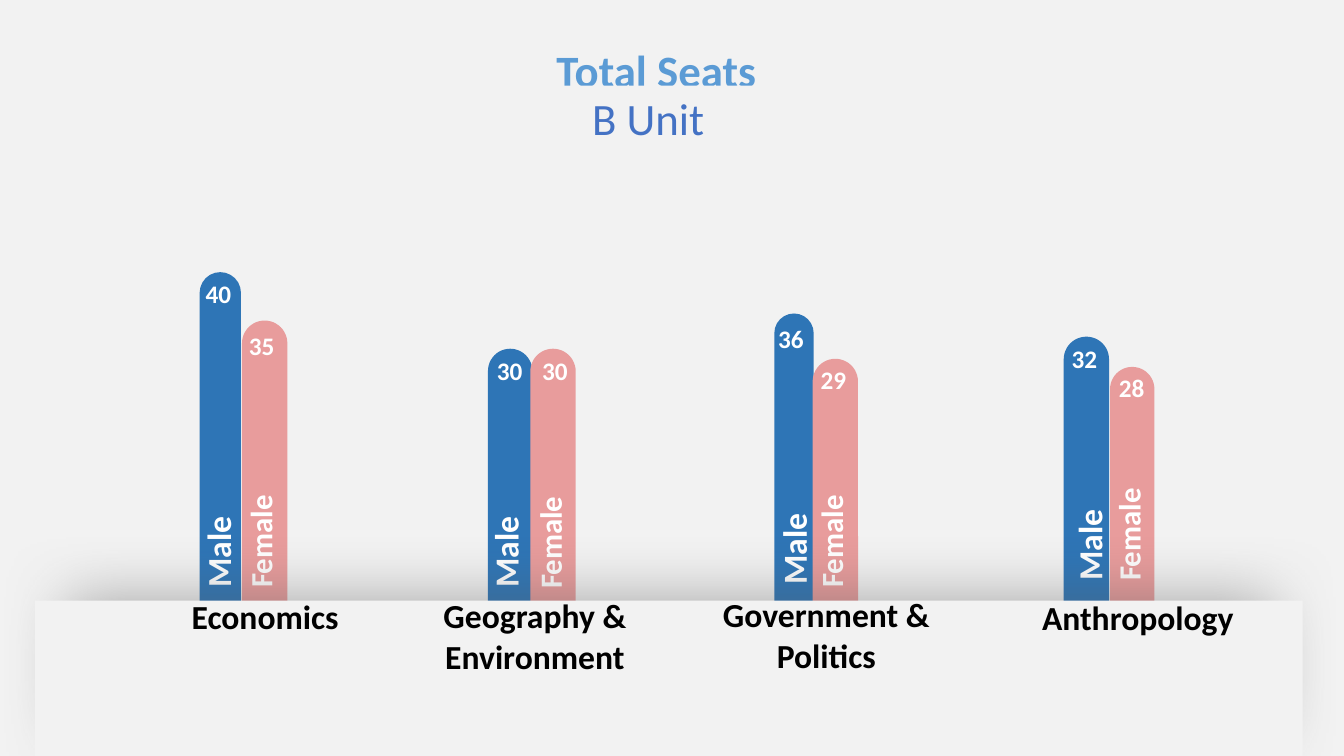
from dataclasses import dataclass

from lxml import etree
from pptx import Presentation
from pptx.dml.color import RGBColor
from pptx.enum.shapes import MSO_SHAPE as SHAPE
from pptx.enum.text import MSO_ANCHOR as ANCHOR, PP_ALIGN as ALIGN
from pptx.oxml import parse_xml
from pptx.oxml.ns import nsdecls
from pptx.util import Inches, Pt


@dataclass
class Theme:
    """Colours, font and type sizes of the slide."""
    font: str = "Calibri"
    ground: str = "F2F2F2"
    male: str = "2E75B6"
    female: str = "E89C9C"
    title: str = "5B9BD5"
    unit: str = "4472C4"
    white: str = "FFFFFF"
    black: str = "000000"
    title_size: int = 32
    label_size: int = 24
    female_size: int = 22
    value_size: int = 18


theme = Theme()
BASE = 5.96         # top edge of the panel the bars stand behind
BAR_END = 6.2       # rounded lower ends are hidden by the panel
LABEL_W, LABEL_H = 1.3, 0.5

# department, label box (left, top, width, height), then male and female bars:
# seats, bar left, top, width, value left, top, label centre, label start
departments = [
    ("Economics", (1.7, 5.86, 1.86, 0.5),
     (40, 1.98, 2.7, 0.41, 1.94, 2.71, 2.16, 5.93),
     (35, 2.4, 3.18, 0.45, 2.37, 3.23, 2.58, 5.93)),
    ("Geography &\nEnvironment", (3.88, 5.85, 2.85, 0.91),
     (30, 4.84, 3.46, 0.44, 4.83, 3.48, 5.01, 5.93),
     (30, 5.26, 3.46, 0.45, 5.28, 3.48, 5.45, 5.94)),
    ("Government & Politics", (6.79, 5.84, 2.81, 0.91),
     (36, 7.68, 3.11, 0.39, 7.62, 3.16, 7.87, 5.9),
     (29, 8.06, 3.56, 0.45, 8.04, 3.56, 8.24, 5.93)),
    ("Anthropology", (10.14, 5.87, 2.29, 0.5),
     (32, 10.55, 3.34, 0.45, 10.53, 3.36, 10.8, 5.86),
     (28, 11.01, 3.64, 0.44, 11, 3.64, 11.19, 5.86)),
]
genders = [("Male", theme.male, theme.label_size),
           ("Female", theme.female, theme.female_size)]

prs = Presentation()
prs.slide_width, prs.slide_height = Inches(13.33), Inches(7.5)
slide = prs.slides.add_slide(prs.slide_layouts[5])
slide.background.fill.solid()
slide.background.fill.fore_color.rgb = RGBColor.from_string(theme.ground)


def add_block(preset, left, top, width, height, color):
    """Add a plain filled shape without line or shadow."""
    sp = slide.shapes.add_shape(preset, Inches(left), Inches(top),
                                Inches(width), Inches(height))
    sp.shadow.inherit = False
    sp.fill.solid()
    sp.fill.fore_color.rgb = RGBColor.from_string(color)
    sp.line.fill.background()
    return sp


def write(sp, box, text, size, color, bold=True, align=ALIGN.LEFT):
    """Place a shape (a new text box if none is given) and set its text."""
    left, top, width, height = (Inches(v) for v in box)
    sp = sp or slide.shapes.add_textbox(left, top, width, height)
    sp.left, sp.top, sp.width, sp.height = left, top, width, height
    tf = sp.text_frame
    tf.text = text
    tf.word_wrap = True
    tf.vertical_anchor = ANCHOR.MIDDLE
    for p in tf.paragraphs:
        p.alignment = align
        for r in p.runs:
            r.font.name, r.font.size, r.font.bold = theme.font, Pt(size), bold
            r.font.color.rgb = RGBColor.from_string(color)
    return sp


# Bars with their seats and gender labels
for _, _, *bars in departments:
    for (gender, color, size), bar in zip(genders, bars):
        seats, left, top, width, value_left, value_top, center, start = bar
        sp = add_block(SHAPE.ROUNDED_RECTANGLE, left, top, width,
                       BAR_END - top, color)
        sp.adjustments[0] = 0.5
        write(None, (value_left, value_top, 0.5, 0.4), str(seats),
              theme.value_size, theme.white)
        label_box = (center - LABEL_W / 2, start - (LABEL_W + LABEL_H) / 2,
                     LABEL_W, LABEL_H)
        sp = write(None, label_box, gender, size, theme.white)
        sp.rotation = 270

# Panel in front of the bars, with a soft shadow cast upwards
caster = add_block(SHAPE.RECTANGLE, 0.66, 6, 11.97, 1.31, theme.ground)
effects = caster.shadow._element.find(
    "{http://schemas.openxmlformats.org/drawingml/2006/main}effectLst")
effects.append(parse_xml(
    f'<a:outerShdw {nsdecls("a")} blurRad="{Pt(47)}" dist="{Pt(4)}" '
    'dir="16200000" algn="ctr" rotWithShape="0"><a:srgbClr val="595959">'
    '<a:alpha val="50000"/></a:srgbClr></a:outerShdw>'))
add_block(SHAPE.RECTANGLE, 0.35, BASE, 12.57, 7.5 - BASE, theme.ground)

for name, box, *_ in departments:
    write(None, box, name, theme.label_size, theme.black, align=ALIGN.CENTER)

# Headings
write(slide.shapes.title, (3.96, 0.37, 5.1, 0.64), "Total Seats",
      theme.title_size, theme.title, align=ALIGN.CENTER)
unit = add_block(SHAPE.RECTANGLE, 4.87, 0.85, 3.12, 0.64, theme.ground)
write(unit, (4.87, 0.85, 3.12, 0.64), "B Unit", theme.title_size, theme.unit,
      bold=False, align=ALIGN.CENTER)

prs.save("out.pptx")
